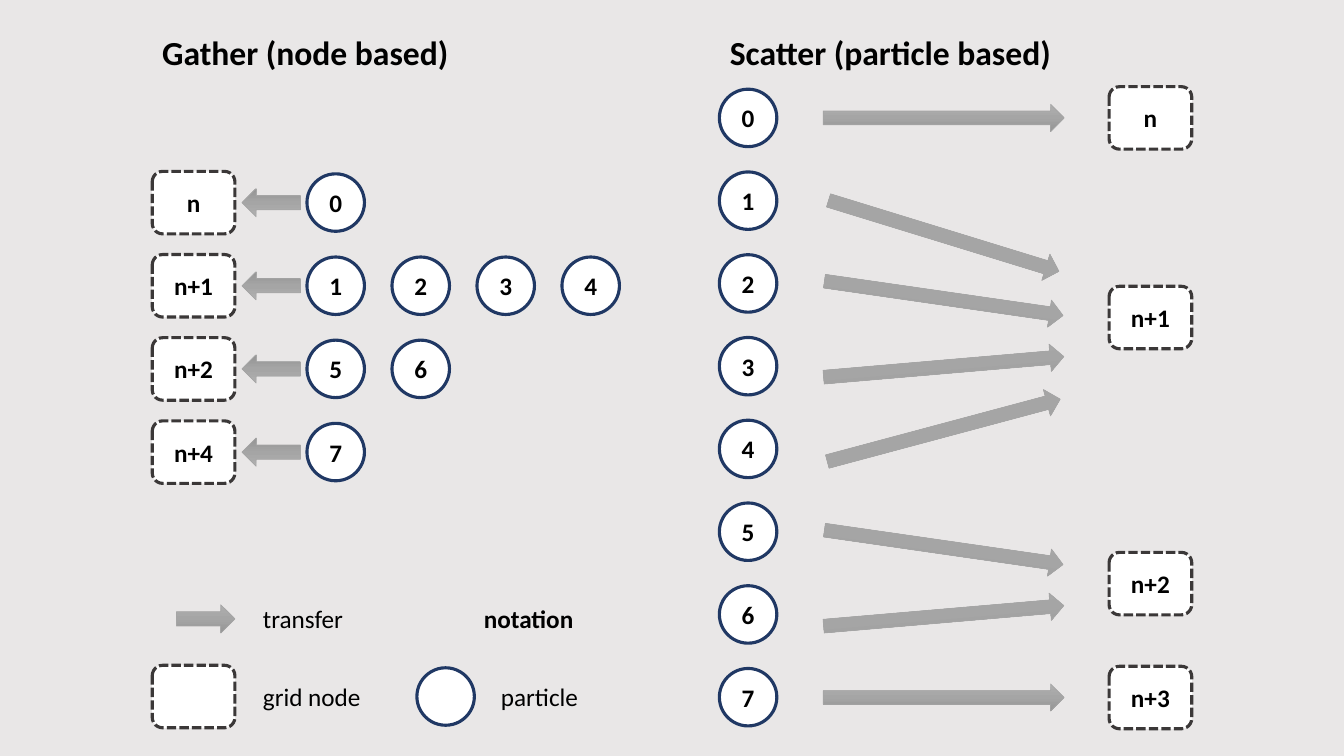
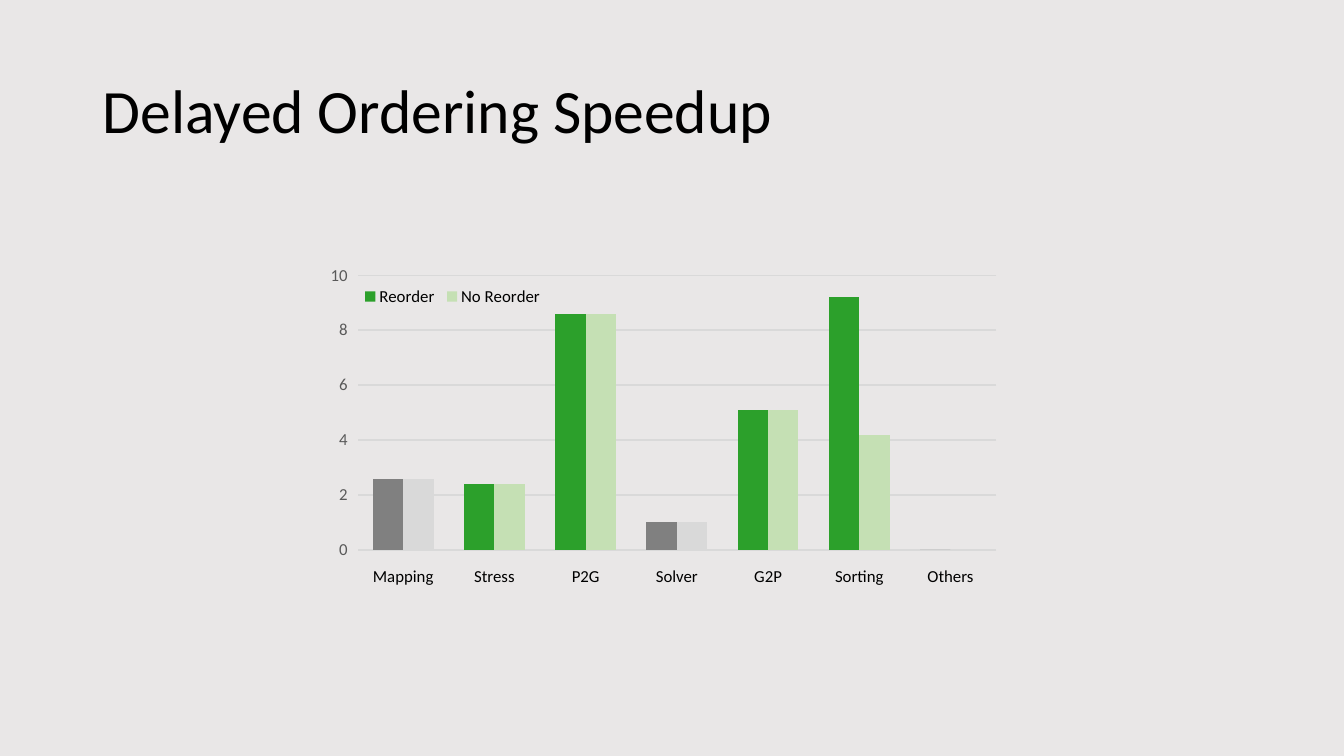
from copy import deepcopy

from pptx import Presentation
from pptx import util as u
from pptx.chart.data import CategoryChartData
from pptx.dml.color import RGBColor
from pptx.enum import chart as charts, dml, shapes, text
from pptx.oxml import parse_xml
from pptx.oxml.ns import nsdecls

FONT = "Calibri"
BACKGROUND = RGBColor(0xE9, 0xE7, 0xE7)
BLACK = RGBColor(0, 0, 0)
WHITE = RGBColor(0xFF, 0xFF, 0xFF)
NODE_LINE = RGBColor(0x3B, 0x38, 0x38)
PARTICLE_LINE = RGBColor(0x20, 0x38, 0x64)
ARROW = RGBColor(0xA5, 0xA5, 0xA5)
ARROW_STOPS = [(0, RGBColor(0xAF, 0xAF, 0xAF)), (0.5, ARROW), (1, RGBColor(0x93, 0x93, 0x93))]
AXIS_TEXT = RGBColor(0x59, 0x59, 0x59)
LIGHT_GREY = RGBColor(0xD9, 0xD9, 0xD9)
GREY = RGBColor(0x80, 0x80, 0x80)
GREEN = RGBColor(0x2C, 0xA0, 0x2B)
LIGHT_GREEN = RGBColor(0xC5, 0xE0, 0xB4)

PRESET = shapes.MSO_SHAPE
LOOKS = {
    "node": (PRESET.FLOWCHART_ALTERNATE_PROCESS, 0.82, 0.62, NODE_LINE, 2.25),
    "particle": (PRESET.OVAL, 0.57, 0.57, PARTICLE_LINE, 2.25),
    "short arrow": (PRESET.RIGHT_ARROW, 0.58, 0.28, ARROW, 0.5),
    "long arrow": (PRESET.RIGHT_ARROW, 2.39, 0.27, ARROW, 0.5),
}


def put(slide, look, x, y, label="", rotation=0):
    """Centre a diagram part on x, y."""
    preset, width, height, outline, weight = LOOKS[look]
    part = slide.shapes.add_shape(preset, u.Inches(x - width / 2), u.Inches(y - height / 2),
                                  u.Inches(width), u.Inches(height))
    part.shadow.inherit = False
    part.rotation = rotation
    part.line.color.rgb = outline
    part.line.width = u.Pt(weight)
    if preset == PRESET.RIGHT_ARROW:
        part.fill.gradient()
        part.fill.gradient_angle = 270
        stop_list = part.element.xpath(".//a:gsLst")[0]
        stop_list.insert(1, deepcopy(stop_list[0]))
        for stop, (position, color) in zip(part.fill.gradient_stops, ARROW_STOPS):
            stop.position = position
            stop.color.rgb = color
    else:
        part.fill.solid()
        part.fill.fore_color.rgb = WHITE
    if look == "node":
        part.line.dash_style = dml.MSO_LINE.SQUARE_DOT
    if label:
        write(part, label, align=text.PP_ALIGN.CENTER, bold=True)


def write(holder, words, size=18, align=text.PP_ALIGN.LEFT, bold=False):
    """Set the one paragraph of a shape, text box or placeholder."""
    frame = holder.text_frame
    frame.word_wrap = True
    frame.text = words
    paragraph = frame.paragraphs[0]
    paragraph.alignment = align
    look = {"name": FONT, "size": u.Pt(size), "bold": bold}
    for key, value in look.items():
        setattr(paragraph.font, key, value)
    paragraph.font.color.rgb = BLACK


prs = Presentation()
prs.slide_width, prs.slide_height = u.Inches(13.33), u.Inches(7.5)
backdrop = prs.slide_master.background.fill
backdrop.solid()
backdrop.fore_color.rgb = BACKGROUND

# Slide 1: gather and scatter
transfer = prs.slides.add_slide(prs.slide_layouts[6])

# Headings and notation words: left, top, width, height, size, bold
for words, left, top, width, height, size, bold in [
    ("Gather (node based)", 1.51, 0.27, 3.4, 0.5, 24, True),
    ("Scatter (particle based)", 7.14, 0.27, 4.02, 0.5, 24, True),
    ("notation", 4.7, 5.94, 1.3, 0.4, 18, True),
    ("transfer", 2.51, 5.94, 1.3, 0.4, 18, False),
    ("grid node", 2.51, 6.71, 1.4, 0.4, 18, False),
    ("particle", 4.87, 6.71, 1.3, 0.4, 18, False),
]:
    box = transfer.shapes.add_textbox(*map(u.Inches, (left, top, width, height)))
    write(box, words, size, bold=bold)

# Gather: each node pulls from its own row of particles
NODE_X, GATHER_TOP, GATHER_ROW = 1.92, 2.01, 0.825
PARTICLE_X, PARTICLE_COLUMN = 3.33, 0.843
for row, (node, particles) in enumerate([("n", "0"), ("n+1", "1234"), ("n+2", "56"), ("n+4", "7")]):
    y = GATHER_TOP + row * GATHER_ROW
    put(transfer, "node", NODE_X, y, node)
    put(transfer, "short arrow", 2.69, y, rotation=180)
    for column, particle in enumerate(particles):
        put(transfer, "particle", PARTICLE_X + column * PARTICLE_COLUMN, y, particle)

# Notation samples
put(transfer, "short arrow", 2.04, 6.14)
put(transfer, "node", NODE_X, 6.91)
put(transfer, "particle", 4.42, 6.91)

# Scatter: each particle pushes to a node, by arrow centre and rotation
SCATTER_TOP, SCATTER_ROW = 1.17, 0.821
for row, (arrow_y, rotation) in enumerate([
    (1.17, 0), (2.34, 17.1), (2.96, 8.2), (3.64, 355.1),
    (4.27, 345), (5.43, 8.2), (6.11, 355.1), (6.92, 0),
]):
    put(transfer, "particle", 7.42, SCATTER_TOP + row * SCATTER_ROW, str(row))
    put(transfer, "long arrow", 9.36, arrow_y, rotation=rotation)
for node, y in [("n", 1.17), ("n+1", 3.15), ("n+2", 5.79), ("n+3", 6.92)]:
    put(transfer, "node", 11.41, y, node)

# Slide 2: title
speedup = prs.slides.add_slide(prs.slide_layouts[5])
title = speedup.shapes.title
title.left, title.top, title.width, title.height = map(u.Inches, (0.92, 0.4, 11.5, 1.45))
write(title, "Delayed Ordering Speedup", 44)
title.text_frame.auto_size = text.MSO_AUTO_SIZE.NONE
title.text_frame.vertical_anchor = text.MSO_ANCHOR.MIDDLE
title.text_frame.paragraphs[0].line_spacing = 0.9

# Timings chart
timings = CategoryChartData()
timings.categories = [str(step) for step in range(1, 8)]
timings.add_series("Reorder", (2.6, 2.4, 8.6, 1, 5.1, 9.2, 0))
timings.add_series("No Reorder", (2.6, 2.4, 8.6, 1, 5.1, 4.2, 0))
CHART_LEFT, CHART_TOP, CHART_WIDTH, CHART_HEIGHT = 3.22, 2.55, 6.68, 3.01
chart = speedup.shapes.add_chart(
    charts.XL_CHART_TYPE.COLUMN_CLUSTERED,
    *map(u.Inches, (CHART_LEFT, CHART_TOP, CHART_WIDTH, CHART_HEIGHT)), timings).chart
chart.has_title = False
chart.has_legend = True
chart.legend.position = charts.XL_LEGEND_POSITION.BOTTOM
chart.legend.include_in_layout = True
chart.category_axis.visible = False

scale = chart.value_axis
for key, value in {"minimum_scale": 0, "maximum_scale": 10, "major_unit": 2,
                   "major_tick_mark": charts.XL_TICK_MARK.OUTSIDE}.items():
    setattr(scale, key, value)
scale.format.line.fill.background()
scale.major_gridlines.format.line.color.rgb = LIGHT_GREY
scale.major_gridlines.format.line.width = u.Pt(1)
for font, size, color in [(chart.font, 10, BLACK), (chart.legend.font, 12, BLACK),
                          (scale.tick_labels.font, 12, AXIS_TEXT)]:
    font.name, font.size = FONT, u.Pt(size)
    font.color.rgb = color

# Bars: the steps that ordering leaves alone are grey
bars = chart.plots[0]
bars.gap_width, bars.overlap, bars.vary_by_categories = 100, 0, False
for series, color, muted in zip(bars.series, (GREEN, LIGHT_GREEN), (GREY, LIGHT_GREY)):
    fills = [(series, color)] + [(series.points[step], muted) for step in (0, 3, 6)]
    for bar, shade in fills:
        bar.format.fill.solid()
        bar.format.fill.fore_color.rgb = shade

# Places of the plot and the legend, as shares of the chart
PLOT = (0.049, 0.06, 0.948, 0.906)
for old in chart.element.xpath(".//c:plotArea/c:layout | .//c:legend/c:layout"):
    old.getparent().remove(old)
for parent, index, target, shares in [
    ("plotArea", 0, '<c:layoutTarget val="inner"/>', PLOT),
    ("legend", 1, "", (0.05, 0.07, 0.28, 0.12)),
]:
    modes = "".join(f'<c:{side}Mode val="edge"/>' for side in "xy")
    sizes = "".join(f'<c:{side} val="{share}"/>' for side, share in zip("xywh", shares))
    layout = parse_xml(f'<c:layout {nsdecls("c")}><c:manualLayout>{target}{modes}{sizes}'
                       '</c:manualLayout></c:layout>')
    chart.element.xpath(f".//c:{parent}")[0].insert(index, layout)

# Step names under the bars
steps = ["Mapping", "Stress", "P2G", "Solver", "G2P", "Sorting", "Others"]
step_width = CHART_WIDTH * PLOT[2] / len(steps)
for column, step in enumerate(steps):
    left = CHART_LEFT + CHART_WIDTH * PLOT[0] + column * step_width
    box = speedup.shapes.add_textbox(*map(u.Inches, (left, 5.56, step_width, 0.3)))
    write(box, step, 12, align=text.PP_ALIGN.CENTER)

prs.save("out.pptx")
